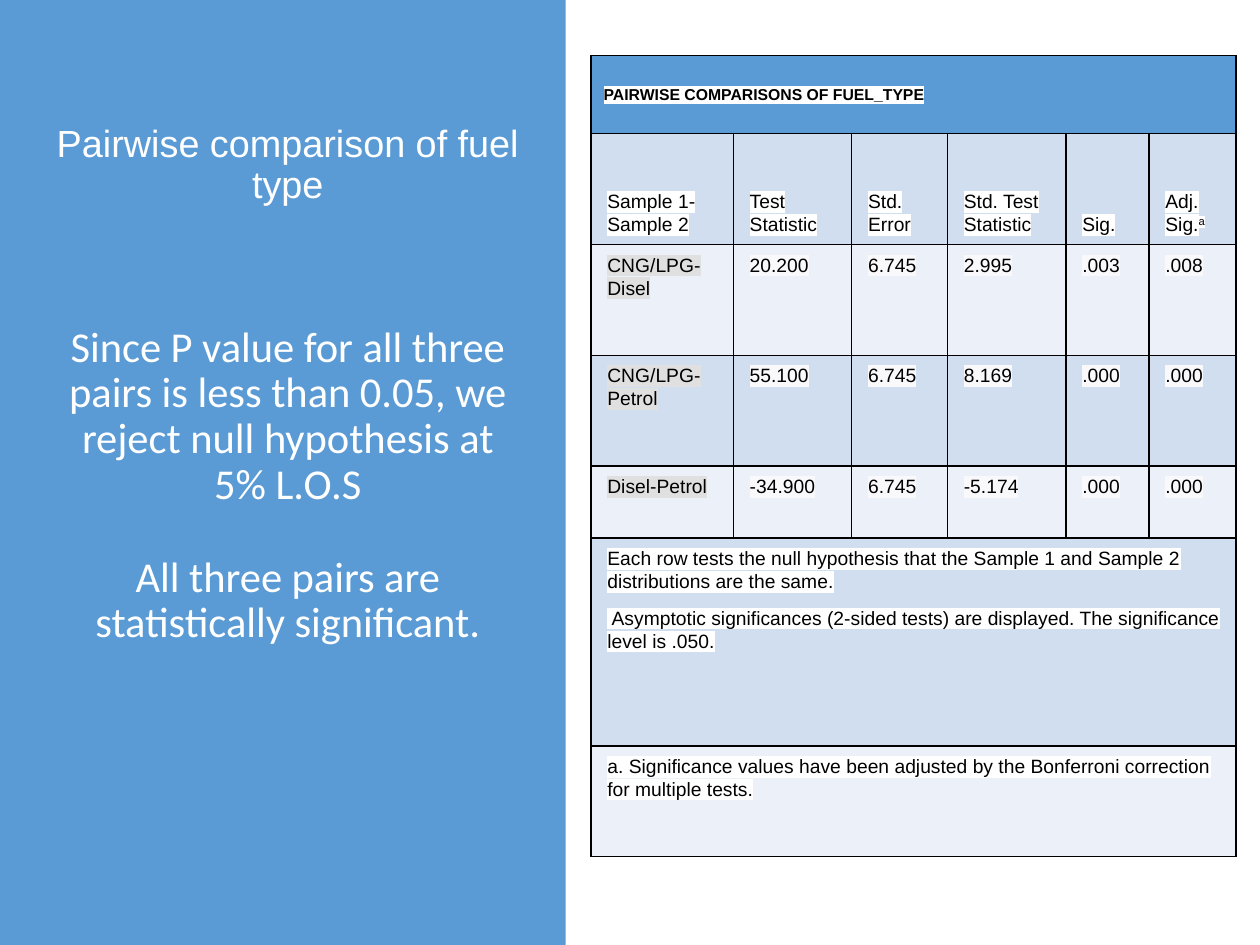
import pptx
import pptx.dml.color
import pptx.enum.shapes
import pptx.enum.text
import pptx.oxml
import pptx.oxml.ns
import pptx.util
from pptx.util import Inches

BLUE, PALE, LIGHT = "5B9BD5", "D0DEEF", "DAE3F3"
WHITE, BLACK = "FFFFFF", "000000"
LABEL_MARK, VALUE_MARK = "E0E0E0", "F9F9FB"
ANCHOR = pptx.enum.text.MSO_ANCHOR
CENTER = pptx.enum.text.PP_ALIGN.CENTER


def colour(code):
    return pptx.dml.color.RGBColor.from_string(code)


def element(body):
    """Make a drawing element from its markup without the namespace."""
    name, rest = body.split(" ", 1)
    return pptx.oxml.parse_xml(f"<a:{name} {pptx.oxml.ns.nsdecls('a')} {rest}")


def write(para, text, font="Arial", size=11, ink=BLACK, bold=False,
          mark=None, align=None, spacing=1.07, before=0, raised=False):
    """Add one formatted span to a paragraph."""
    para.alignment = align
    para.line_spacing = spacing
    para.space_before = pptx.util.Pt(before)
    span = para.add_run()
    span.text = text
    span.font.name = font
    span.font.size = pptx.util.Pt(size)
    span.font.bold = bold
    span.font.color.rgb = colour(ink)
    properties = span.font._element
    if raised:
        properties.set("baseline", "30000")
    if mark:
        fill = properties.find(pptx.oxml.ns.qn("a:solidFill"))
        fill.addnext(element(f'highlight ><a:srgbClr val="{mark}"/></a:highlight>'))


class SlideBuilder:
    def __init__(self, deck):
        self.slide = deck.slides.add_slide(deck.slide_layouts[6])
        self.border = BLACK
        self.border_width = pptx.util.Pt(1)

    def panel(self, left, top, width, height, fill):
        shape = self.slide.shapes.add_shape(
            pptx.enum.shapes.MSO_SHAPE.RECTANGLE,
            Inches(left), Inches(top), Inches(width), Inches(height))
        shape.shadow.inherit = False
        shape.fill.solid()
        shape.fill.fore_color.rgb = colour(fill)
        shape.line.fill.background()

    def text(self, left, top, width, height, paragraphs, margins):
        box = self.slide.shapes.add_textbox(
            Inches(left), Inches(top), Inches(width), Inches(height))
        frame = box.text_frame
        frame.word_wrap = True
        frame.vertical_anchor = ANCHOR.TOP
        (frame.margin_left, frame.margin_top,
         frame.margin_right, frame.margin_bottom) = map(Inches, margins)
        for index, (words, style) in enumerate(paragraphs):
            para = frame.add_paragraph() if index else frame.paragraphs[0]
            write(para, words, ink=WHITE, align=CENTER, spacing=0.9, **style)

    def table(self, left, top, widths, heights, fills):
        table = self.slide.shapes.add_table(
            len(heights), len(widths), Inches(left), Inches(top),
            Inches(sum(widths)), Inches(sum(heights))).table
        table.first_row = table.horz_banding = False
        for column, width in zip(table.columns, widths):
            column.width = Inches(width)
        for row, height, fill in zip(table.rows, heights, fills):
            row.height = Inches(height)
            for cell in row.cells:
                self.paint(cell, fill)
        return table

    def paint(self, cell, fill):
        cell.margin_left = Inches(0.13)
        cell.margin_top = cell.margin_right = cell.margin_bottom = Inches(0.07)
        cell.fill.solid()
        cell.fill.fore_color.rgb = colour(fill)
        properties = cell._tc.get_or_add_tcPr()
        if fill == LIGHT:
            shade = properties.find(".//" + pptx.oxml.ns.qn("a:srgbClr"))
            shade.append(element('alpha val="50000"/>'))
        for index, side in enumerate("LRTB"):
            properties.insert(index, element(
                f'ln{side} w="{self.border_width}"><a:solidFill>'
                f'<a:srgbClr val="{self.border}"/></a:solidFill></a:ln{side}>'))


def main():
    deck = pptx.Presentation()
    deck.slide_width, deck.slide_height = Inches(10), Inches(7.5)
    page = SlideBuilder(deck)

    # Left panel with the title and the conclusion
    page.panel(0, 0, 4.49, 7.5, BLUE)
    body = {"font": "Calibri", "size": 24.3}
    page.text(0.35, 0.68, 5.28, 5.35, [
        ("Pairwise comparison of fuel type", {"size": 21.6, "before": 0}),
        ("Since P value for all three pairs is less than 0.05, we reject "
         "null hypothesis at 5% L.O.S", {**body, "before": 68}),
        ("All three pairs are statistically significant.", {**body, "before": 26.5}),
    ], margins=(0.1, 0.31, 1.51, 0.05))

    # Table grid
    table = page.table(
        4.69, 0.44,
        widths=[1.13, 0.94, 0.76, 0.94, 0.66, 0.69],
        heights=[0.62, 0.88, 0.88, 0.88, 0.57, 1.65, 0.88],
        fills=[BLUE, PALE, LIGHT, PALE, LIGHT, PALE, LIGHT])
    for row in (0, 5, 6):
        table.cell(row, 0).merge(table.cell(row, 5))

    # Table heading
    heading = table.cell(0, 0)
    heading.vertical_anchor = ANCHOR.MIDDLE
    heading.margin_left = heading.margin_right = Inches(0.1)
    heading.margin_top = heading.margin_bottom = Inches(0.1)
    write(heading.text_frame.paragraphs[0], "PAIRWISE COMPARISONS OF FUEL_TYPE",
          size=9, bold=True, mark=WHITE)

    # Column names
    names = ["Sample 1-Sample 2", "Test Statistic", "Std. Error",
             "Std. Test Statistic", "Sig.", "Adj. Sig."]
    for column, name in enumerate(names):
        cell = table.cell(1, column)
        cell.vertical_anchor = ANCHOR.BOTTOM
        write(cell.text_frame.paragraphs[0], name, mark=WHITE)
    write(table.cell(1, 5).text_frame.paragraphs[0], "a", mark=WHITE, raised=True)

    # Test results
    results = [
        ["CNG/LPG-Disel", "20.200", "6.745", "2.995", ".003", ".008"],
        ["CNG/LPG-Petrol", "55.100", "6.745", "8.169", ".000", ".000"],
        ["Disel-Petrol", "-34.900", "6.745", "-5.174", ".000", ".000"],
    ]
    for row, values in enumerate(results, start=2):
        for column, value in enumerate(values):
            write(table.cell(row, column).text_frame.paragraphs[0], value,
                  mark=VALUE_MARK if column else LABEL_MARK)

    # Notes under the results
    notes = table.cell(5, 0).text_frame
    write(notes.paragraphs[0], "Each row tests the null hypothesis that the Sample 1 "
          "and Sample 2 distributions are the same.", mark=WHITE)
    write(notes.add_paragraph(), " Asymptotic significances (2-sided tests) are "
          "displayed. The significance level is .050.", mark=WHITE, before=7.9)
    write(table.cell(6, 0).text_frame.paragraphs[0], "a. Significance values have been "
          "adjusted by the Bonferroni correction for multiple tests.", mark=WHITE)

    deck.save("out.pptx")


if __name__ == "__main__":
    main()
